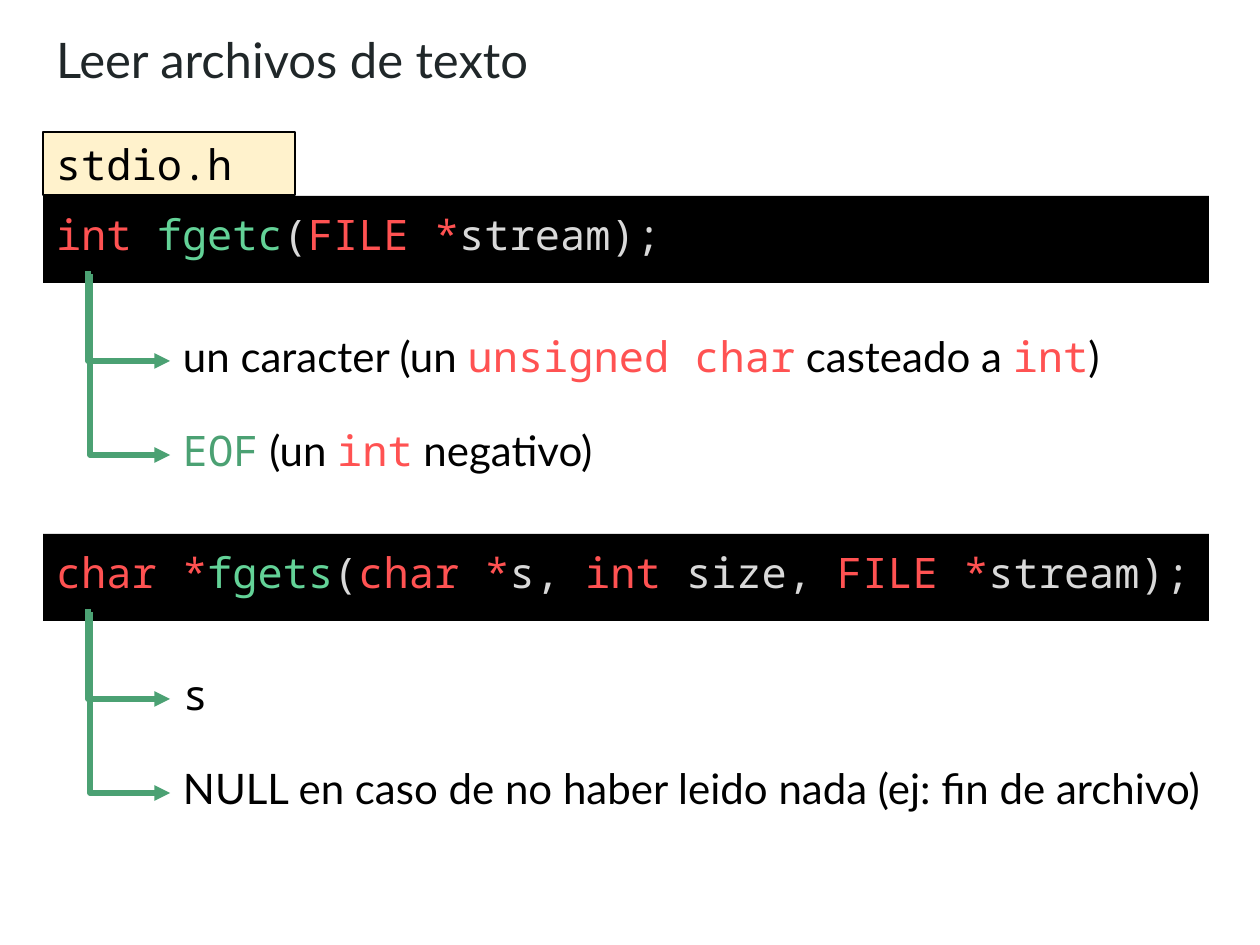
from pptx import Presentation
from pptx.dml.color import RGBColor
from pptx.enum.shapes import MSO_CONNECTOR as Link, MSO_SHAPE as Shape
from pptx.enum.text import MSO_ANCHOR as Anchor, PP_ALIGN as Align
from pptx.oxml.ns import qn
from pptx.oxml.xmlchemy import OxmlElement
from pptx.util import Pt

PX = 914400 // 126
SANS, MONO = "Lato", "Noto Sans Mono"
BLACK, RED, GREEN = "000000", "FF5252", "4BA173"
MINT, GREY, CREAM, INK = "63D297", "D9D9D9", "FFF2CC", "202729"
LEFT, INDENT, ROW = 43, 170, 87
STEP = 338  # from one function block to the next


def px(*nums):
    return [n * PX for n in nums]


def color(code):
    return RGBColor.from_string(code)


def write(shape, runs, size=24, anchor=Anchor.TOP):
    """Fill a shape with one line of (text, colour, font) runs."""
    frame = shape.text_frame
    frame.word_wrap = True
    frame.vertical_anchor = anchor
    frame.margin_left = frame.margin_right = 13 * PX
    frame.margin_top = frame.margin_bottom = 13 * PX
    para = frame.paragraphs[0]
    para.alignment = Align.LEFT
    para.font.size = Pt(size)
    fonts = {font for _, _, font in runs}
    if len(fonts) == 1:
        para.font.name = runs[0][2]
    for text, tone, font in runs:
        run = para.add_run()
        run.text = text
        run.font.color.rgb = color(tone)
        if len(fonts) > 1:
            run.font.name = font


def add_title(slide, text):
    title = slide.shapes.title
    title.left, title.top, title.width, title.height = px(LEFT, 16, 1174, 117)
    write(title, [(text, INK, SANS)], 28)


def add_box(slide, area, fill, runs, edge=None, anchor=Anchor.TOP):
    box = slide.shapes.add_shape(Shape.RECTANGLE, *px(*area))
    box.shadow.inherit = False
    box.fill.solid()
    box.fill.fore_color.rgb = color(fill)
    if edge:
        box.line.color.rgb = color(edge)
        box.line.width = Pt(0.75)
    else:
        box.line.fill.background()
    write(box, runs, anchor=anchor)


def add_note(slide, top, width, runs):
    note = slide.shapes.add_textbox(*px(INDENT, top, width, ROW))
    write(note, runs)


def add_arrow(slide, left, top, right, bottom):
    """Draw an arrow that runs down, then right."""
    wide, high = right - left, bottom - top
    mid_x, mid_y = (left + right) / 2, (top + bottom) / 2
    # The box lies on its side and is mirrored, then turned by 270 degrees
    ends = (mid_x + high / 2, mid_y - wide / 2, mid_x - high / 2, mid_y + wide / 2)
    arrow = slide.shapes.add_connector(Link.ELBOW, *[int(n) for n in px(*ends)])
    arrow.line.color.rgb = color(GREEN)
    arrow.line.width = Pt(3)
    props = arrow._element.spPr
    props.find(qn("a:xfrm")).set("rot", str(270 * 60000))
    props.find(qn("a:prstGeom")).set("prst", "bentConnector2")
    tip = OxmlElement("a:tailEnd")
    tip.set("type", "triangle")
    props.find(qn("a:ln")).append(tip)
    props.append(OxmlElement("a:effectLst"))


def add_block(slide, top, code, notes):
    """Show a signature with arrows to its return values."""
    runs = [(text, tone, MONO) for text, tone in code]
    add_box(slide, (LEFT, top, 1166, ROW), BLACK, runs)
    for i, (width, text) in enumerate(notes):
        row = top + 122 + 94 * i
        add_note(slide, row, width, text)
        add_arrow(slide, 88 + 2 * i, top + 75 + 3 * i, INDENT, row + ROW // 2)


def main():
    deck = Presentation()
    deck.slide_width, deck.slide_height = px(1260, 945)
    slide = deck.slides.add_slide(deck.slide_layouts[5])
    add_title(slide, "Leer archivos de texto")

    # fgetc
    add_block(slide, 196, [
        ("int ", RED), ("fgetc", MINT), ("(", GREY),
        ("FILE *", RED), ("stream);", GREY),
    ], [
        (979, [("un caracter (un ", BLACK, SANS), ("unsigned char", RED, MONO),
               (" casteado a ", BLACK, SANS), ("int", RED, MONO),
               (")", BLACK, SANS)]),
        (921, [("EOF", GREEN, MONO), (" (un ", BLACK, SANS),
               ("int", RED, MONO), (" negativo)", BLACK, SANS)]),
    ])

    # Header file tab
    add_box(slide, (LEFT, 132, 252, 63), CREAM, [("stdio.h", BLACK, MONO)],
            BLACK, Anchor.MIDDLE)

    # fgets
    add_block(slide, 196 + STEP, [
        ("char *", RED), ("fgets", MINT), ("(", GREY), ("char *", RED),
        ("s, ", GREY), ("int", RED), (" size, ", GREY),
        ("FILE *", RED), ("stream);", GREY),
    ], [
        (979, [("s", BLACK, MONO)]),
        (1067, [("NULL en caso de no haber leido nada (ej: fin de archivo)",
                 BLACK, SANS)]),
    ])

    deck.save("out.pptx")


if __name__ == "__main__":
    main()
